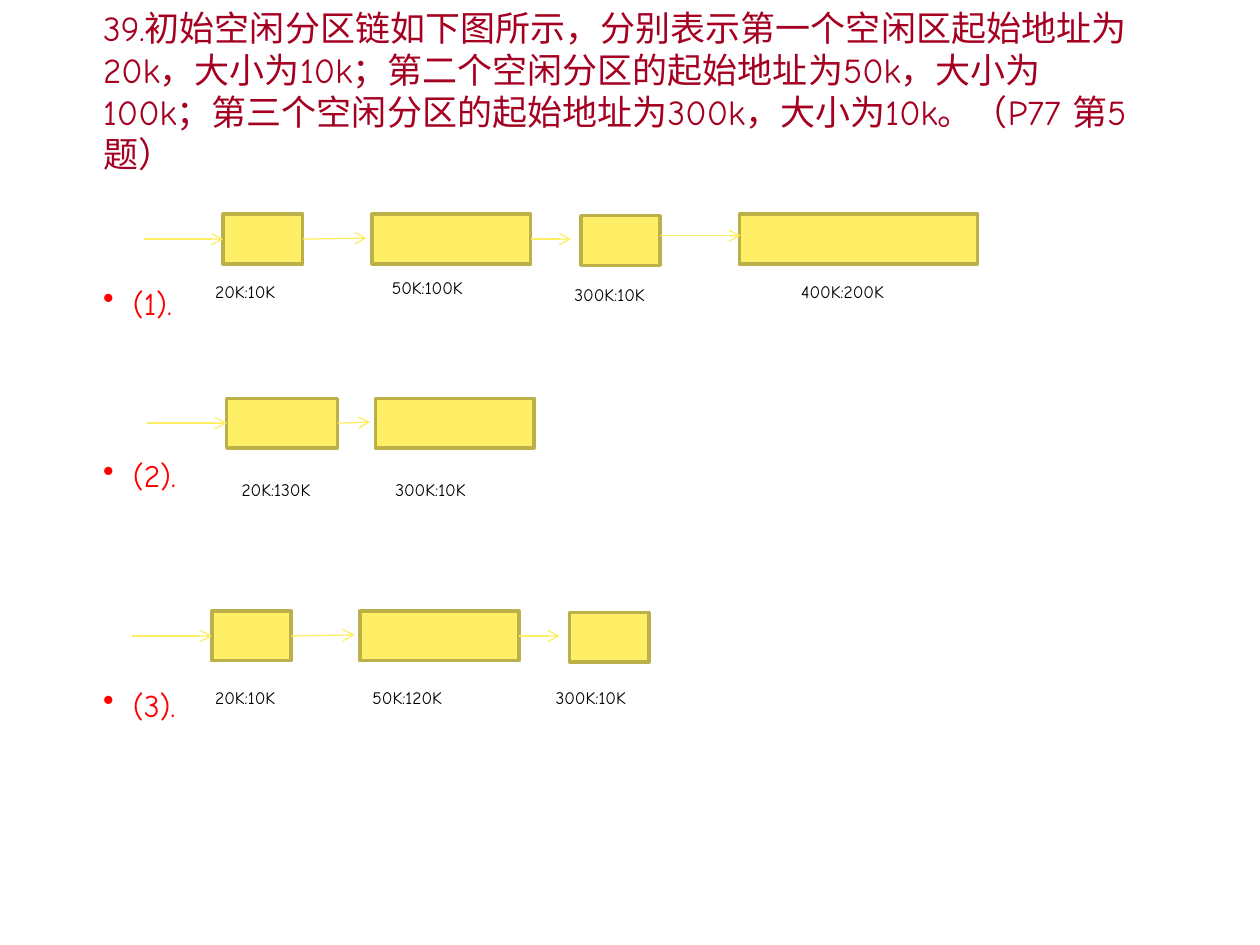
import dataclasses

import lxml.etree
import pptx
import pptx.dml.color
import pptx.enum.shapes
import pptx.enum.text
import pptx.oxml.ns
import pptx.util
from pptx.util import Cm


@dataclasses.dataclass(frozen=True)
class Theme:
    font: str = "Comic Neue"
    question: str = "A50021"
    answer: str = "FF0000"
    label: str = "000000"
    block: str = "FFEF66"
    block_line: str = "BCB049"
    arrow: str = "FDED60"
    question_size: int = 20
    answer_size: int = 18
    label_size: int = 10


@dataclasses.dataclass(frozen=True)
class Block:
    """A free partition, its label and the arrow into it, in centimetres."""
    label: str
    left: float
    width: float
    label_left: float
    label_top: float
    label_width: float
    gap: float = 0          # between arrow tip and block
    tip_rise: float = 0     # of arrow tip above the middle of the row
    start_rise: float = 0   # of arrow start above the middle of the row
    drop: float = 0         # of block below the top of the row


def rgb(value):
    return pptx.dml.color.RGBColor.from_string(value)


def write_text(paragraph, text, *, size, color, before=0, bullet=None):
    if bullet:
        properties = paragraph._p.get_or_add_pPr()
        properties.set("marL", str(Cm(0.6)))
        properties.set("indent", str(-Cm(0.6)))
        bullet_element = lxml.etree.SubElement(properties, pptx.oxml.ns.qn("a:buChar"))
        bullet_element.set("char", bullet)
    if before:
        paragraph.space_before = pptx.util.Pt(before)
    run = paragraph.add_run()
    run.text = text
    run.font.name = theme.font
    run.font.size = pptx.util.Pt(size)
    run.font.color.rgb = rgb(color)


theme = Theme()
QUESTION = (
    "39.初始空闲分区链如下图所示，分别表示第一个空闲区起始地址为20k，大小为10k；"
    "第二个空闲分区的起始地址为50k，大小为100k；"
    "第三个空闲分区的起始地址为300k，大小为10k。（P77 第5题）"
)
ANSWERS = [("(1).", 62.5), ("(2).", 77.2), ("(3).", 109.3)]
BLOCK_HEIGHT = 1
LEAD_ARROW = 1.6
# Top of each row, then its blocks from left to right
CHAINS = [
    (4.32, [
        Block("20K:10K", 4.5, 1.6, 4.09, 5.54, 2),
        Block("50K:100K", 7.5, 3.2, 7.65, 5.46, 2.67, gap=0.11, tip_rise=0.02),
        Block("300K:10K", 11.71, 1.6, 11.33, 5.61, 2.39, gap=0.2, drop=0.03),
        Block("400K:200K", 14.91, 4.8, 15.9, 5.54, 3.2, gap=-0.02,
              tip_rise=0.07, start_rise=0.07),
    ]),
    (8.03, [
        Block("20K:130K", 4.57, 2.24, 4.62, 9.53, 2.21),
        Block("300K:10K", 7.57, 3.2, 7.72, 9.53, 2.39, gap=0.11, tip_rise=0.02),
    ]),
    (12.32, [
        Block("20K:10K", 4.27, 1.6, 4.09, 13.72, 2),
        Block("50K:120K", 7.26, 3.2, 7.26, 13.72, 2.84, gap=0.11, tip_rise=0.02),
        Block("300K:10K", 11.48, 1.6, 10.95, 13.72, 2.39, gap=0.2, drop=0.03),
    ]),
]

presentation = pptx.Presentation()
presentation.slide_width = Cm(25.4)
presentation.slide_height = Cm(19.05)
slide = presentation.slides.add_slide(presentation.slide_layouts[6])
shapes = slide.shapes

# Question and answer numbers
body = shapes.add_textbox(Cm(1.83), Cm(0), Cm(21.39), Cm(14.91)).text_frame
body.word_wrap = True
body.vertical_anchor = pptx.enum.text.MSO_ANCHOR.TOP
write_text(body.paragraphs[0], QUESTION, size=theme.question_size, color=theme.question)
for number, before in ANSWERS:
    write_text(body.add_paragraph(), number, size=theme.answer_size,
               color=theme.answer, before=before, bullet="•")

# Chains of free partitions
for top, blocks in CHAINS:
    middle = top + BLOCK_HEIGHT / 2
    previous = None
    start = blocks[0].left - LEAD_ARROW
    for block in blocks:
        rectangle = shapes.add_shape(
            pptx.enum.shapes.MSO_SHAPE.RECTANGLE,
            Cm(block.left), Cm(top + block.drop), Cm(block.width), Cm(BLOCK_HEIGHT))
        rectangle.shadow.inherit = False
        rectangle.fill.solid()
        rectangle.fill.fore_color.rgb = rgb(theme.block)
        rectangle.line.color.rgb = rgb(theme.block_line)
        rectangle.line.width = pptx.util.Pt(2)

        arrow = shapes.add_connector(
            pptx.enum.shapes.MSO_CONNECTOR.STRAIGHT,
            Cm(start), Cm(middle - block.start_rise),
            Cm(block.left - block.gap), Cm(middle - block.tip_rise))
        if previous is not None and not block.start_rise:
            arrow.begin_connect(previous, 3)
        if not block.gap:
            arrow.end_connect(rectangle, 1)
        arrow.line.color.rgb = rgb(theme.arrow)
        arrow.line.width = pptx.util.Pt(0.75)
        tip = lxml.etree.SubElement(arrow.line._get_or_add_ln(), pptx.oxml.ns.qn("a:tailEnd"))
        tip.set("type", "arrow")
        lxml.etree.SubElement(arrow._element.spPr, pptx.oxml.ns.qn("a:effectLst"))

        label = shapes.add_textbox(Cm(block.label_left), Cm(block.label_top),
                                   Cm(block.label_width), Cm(0.69)).text_frame
        label.word_wrap = True
        write_text(label.paragraphs[0], block.label, size=theme.label_size, color=theme.label)

        previous = rectangle
        start = block.left + block.width

presentation.save("out.pptx")
